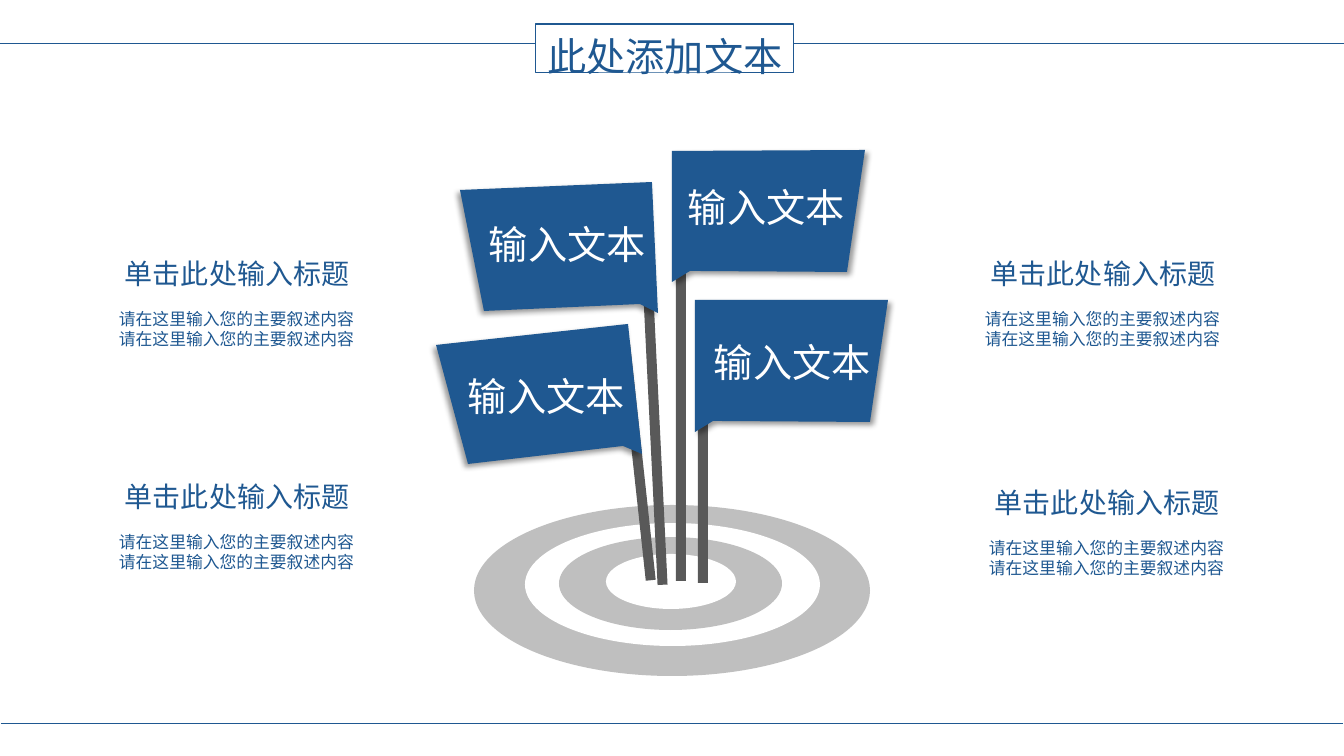
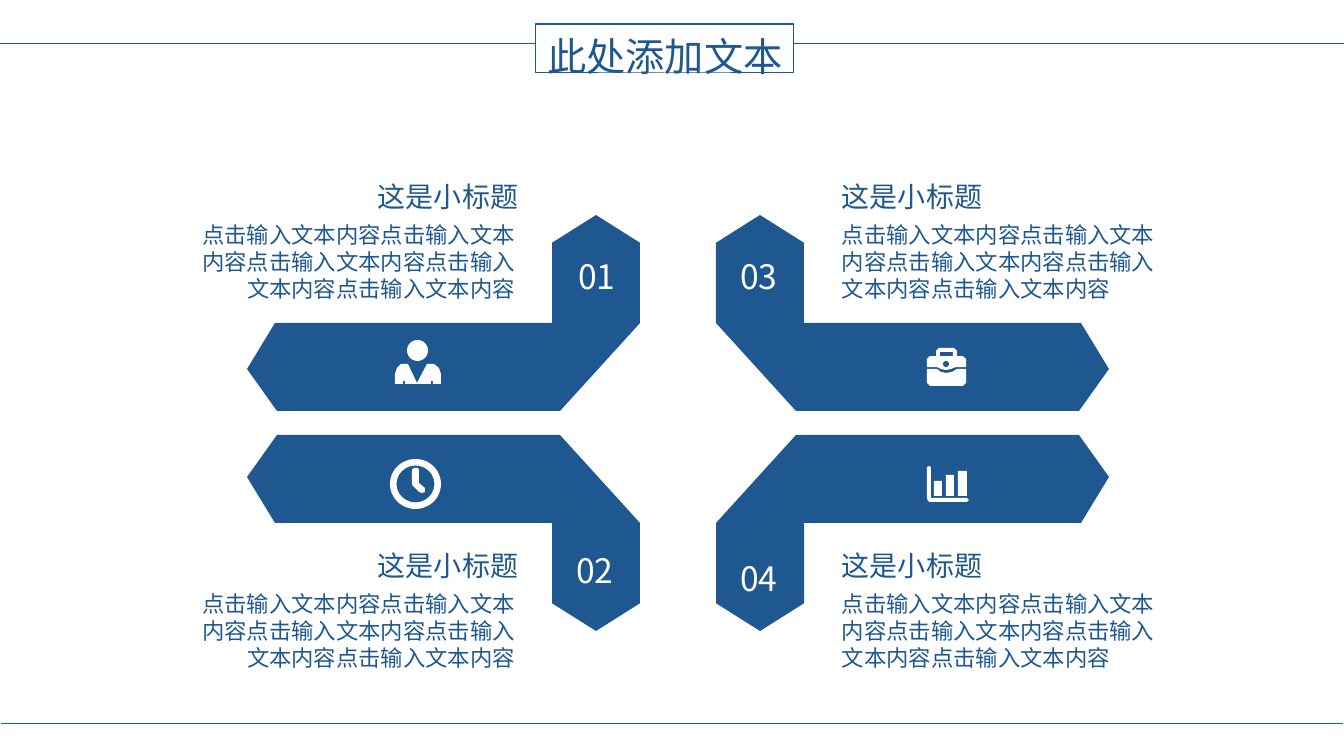
from dataclasses import dataclass
from typing import NamedTuple

from lxml.etree import SubElement
from pptx import Presentation
from pptx.dml.color import RGBColor
from pptx.enum.shapes import MSO_CONNECTOR, MSO_SHAPE
from pptx.enum.text import MSO_ANCHOR, MSO_AUTO_SIZE, PP_ALIGN
from pptx.oxml.ns import qn
from pptx.util import Emu, Pt

SCALE = 12192000 / 1344


@dataclass(frozen=True)
class Theme:
    font: str = "Noto Sans CJK SC"
    blue: RGBColor = RGBColor(0x1F, 0x58, 0x91)
    white: RGBColor = RGBColor(0xFF, 0xFF, 0xFF)
    ring: RGBColor = RGBColor(0xBF, 0xBF, 0xBF)
    pole: RGBColor = RGBColor(0x59, 0x59, 0x59)
    title: int = 28
    number: int = 24
    head: int = 20
    body: int = 16
    note: int = 12
    leading: float = 1.2


class Row(NamedTuple):
    text: str
    size: int
    gap: int = 0
    dent: int = 0


theme = Theme()


def draw(shapes, kind, spots, tint):
    if kind is None:
        maker = shapes.build_freeform(*spots[0], scale=SCALE)
        maker.add_line_segments(spots[1:], close=True)
        shape = maker.convert_to_shape()
    else:
        shape = shapes.add_shape(kind, *[Emu(round(n * SCALE)) for n in spots])
    shape.shadow.inherit = False
    shape.fill.solid()
    shape.fill.fore_color.rgb = tint
    shape.line.fill.background()
    return shape


def write(target, rows, tint, align=PP_ALIGN.LEFT, wrap=True):
    if isinstance(target, tuple):
        shapes, box = target
        target = shapes.add_textbox(*[Emu(round(n * SCALE)) for n in box])
    frame = target.text_frame
    frame.word_wrap = wrap
    for k, row in enumerate(rows):
        para = frame.add_paragraph() if k else frame.paragraphs[0]
        form = {
            "alignment": align,
            "line_spacing": Pt(row.size * theme.leading),
            "space_before": Pt(row.gap),
            "space_after": Pt(0),
        }
        for name, value in form.items():
            setattr(para, name, value)
        if row.dent:
            para._p.get_or_add_pPr().set("marL", str(round(row.dent * SCALE)))
        run = para.add_run()
        run.text = row.text
        run.font.color.rgb = tint
        for name, value in {"size": Pt(row.size), "name": theme.font, "bold": False}.items():
            setattr(run.font, name, value)
        SubElement(run._r.get_or_add_rPr(), qn("a:ea"), typeface=theme.font)
    return frame


deck = Presentation()
deck.slide_width, deck.slide_height = [Emu(round(n * SCALE)) for n in (1344, 756)]
pages = [deck.slides.add_slide(deck.slide_layouts[5]) for _ in range(2)]

for page in pages:
    title = page.shapes.title
    for name, n in {"left": 536, "top": 24, "width": 258, "height": 49}.items():
        setattr(title, name, Emu(round(n * SCALE)))
    title.line.color.rgb = theme.blue
    title.line.width = Pt(0.75)
    frame = write(title, [Row("此处添加文本", theme.title)], theme.blue, PP_ALIGN.CENTER)
    form = {
        "margin_left": 0,
        "margin_right": 0,
        "margin_top": Emu(round(14 * SCALE)),
        "margin_bottom": 0,
        "vertical_anchor": MSO_ANCHOR.MIDDLE,
        "auto_size": MSO_AUTO_SIZE.NONE,
    }
    for name, value in form.items():
        setattr(frame, name, value)
    for ends in ((0, 43, 536, 43), (794, 43, 1344, 43), (1, 723, 1343, 723)):
        rule = page.shapes.add_connector(
            MSO_CONNECTOR.STRAIGHT, *[Emu(round(n * SCALE)) for n in ends]
        )
        rule.line.color.rgb = theme.blue
        rule.line.width = Pt(0.5)
        SubElement(rule._element.spPr, qn("a:effectLst"))

goal, steps = [page.shapes for page in pages]

rings = [
    ((474, 505, 396, 171), theme.ring),
    ((525, 523, 295, 123), theme.white),
    ((559, 537, 223, 93), theme.ring),
    ((606, 554, 130, 55), theme.white),
]
group = goal.add_group_shape()
for box, tint in rings:
    draw(group.shapes, MSO_SHAPE.OVAL, box, tint)

flags = [
    ((676, 256, 10, 325), 0, 45, (678, 174),
     [(865, 150), (672, 151), (672, 282), (690, 271), (847, 272)]),
    ((650, 273, 10, 312), 357.2, 135, (479, 211),
     [(460, 190), (652, 182), (658, 313), (640, 304), (484, 311)]),
    ((633, 344, 10, 237), 353.8, 135, (458, 363),
     [(436, 345), (628, 324), (642, 454), (623, 446), (468, 464)]),
    ((698, 302, 10, 281), 0, 45, (704, 329),
     [(888, 300), (695, 300), (695, 432), (713, 421), (870, 422)]),
]
for pole, turn, angle, spot, edge in flags:
    draw(goal, MSO_SHAPE.RECTANGLE, pole, theme.pole).rotation = turn
    flag = draw(goal, None, edge, theme.blue)
    glow = SubElement(
        flag._element.spPr.find(qn("a:effectLst")), qn("a:outerShdw"),
        blurRad=str(Pt(4)), dist=str(Pt(3)), dir=str(angle * 60000),
        algn="ctr", rotWithShape="0",
    )
    black = SubElement(glow, qn("a:srgbClr"), val="000000")
    SubElement(black, qn("a:alpha"), val="40000")
    write((goal, (*spot, 178, 57)), [Row("输入文本", theme.title)],
          theme.white, wrap=False).margin_top = Emu(round(9 * SCALE))

note = "请在这里输入您的主要叙述内容"
for spot in ((109, 252), (109, 475), (975, 252), (979, 481)):
    rows = [
        Row("单击此处输入标题", theme.head, dent=6),
        Row(note, theme.note, gap=13),
        Row(note, theme.note),
    ]
    write((goal, (*spot, 258, 106)), rows, theme.blue, wrap=False)

band = [(640, 323), (275, 323), (247, 369), (277, 411), (560, 411)]
for right in (False, True):
    for low in (False, True):
        edge = [(1356 - x if right else x, 846 - y if low else y) for x, y in band]
        draw(steps, None, edge, theme.blue)
        box = (706 if right else 542, 533 if low else 225, 108, 88)
        tip = draw(steps, MSO_SHAPE.PENTAGON, box, theme.blue)
        tip.adjustments[0] = 0.315
        tip.rotation = 90 if low else 270

        top = 544 if low else 175
        side = PP_ALIGN.LEFT if right else PP_ALIGN.RIGHT
        write((steps, (832 if right else 368, top, 168, 44)),
              [Row("这是小标题", theme.head)], theme.blue)
        write((steps, (832 if right else 189, top + 41, 336, 92)),
              [Row("点击输入文本内容" * 5, theme.body)], theme.blue, side)

for k, spot in enumerate([(548, 251), (546, 545), (710, 251), (710, 553)], 1):
    write((steps, (*spot, 98, 50)), [Row(f"{k:02}", theme.number)],
          theme.white, PP_ALIGN.CENTER)

person = [
    (MSO_SHAPE.OVAL, (407, 340, 21, 21), theme.white),
    (None, [(395, 384), (395, 374), (397, 368), (401, 364), (408, 364), (417, 383),
            (427, 364), (434, 364), (439, 368), (441, 374), (441, 384), (433, 384),
            (433, 381), (431, 381), (431, 384), (405, 384), (405, 381), (403, 381),
            (403, 384)], theme.white),
]
clock = [
    (MSO_SHAPE.DONUT, (390, 459, 51, 50), theme.white),
    (None, [(412, 470), (414, 468), (418, 468), (419, 470), (419, 483), (425, 488),
            (425, 492), (422, 493), (419, 492), (413, 486), (412, 484)], theme.white),
]
case = [
    (None, [(927, 369), (937, 369), (941, 372), (946, 373), (952, 372), (957, 369),
            (966, 369), (966, 383), (963, 386), (930, 386), (927, 383)], theme.white),
    (None, [(927, 367), (927, 359), (930, 356), (963, 356), (966, 359), (966, 367),
            (956, 367), (951, 369), (946, 370), (941, 369), (937, 367)], theme.white),
    (None, [(936, 356), (936, 351), (939, 348), (954, 348), (957, 351), (957, 356),
            (953, 356), (953, 352), (940, 352), (940, 356)], theme.white),
    (MSO_SHAPE.OVAL, (943, 361, 6, 6), theme.blue),
]
bars = [
    (MSO_SHAPE.RECTANGLE, (934, 481, 8, 15), theme.white),
    (MSO_SHAPE.RECTANGLE, (946, 475, 8, 21), theme.white),
    (MSO_SHAPE.RECTANGLE, (958, 471, 9, 25), theme.white),
    (None, [(927, 467), (929, 466), (931, 467), (931, 498), (967, 498), (969, 500),
            (967, 502), (930, 502), (928, 501), (927, 498)], theme.white),
]
for icon in (person, clock, case, bars):
    group = steps.add_group_shape()
    for part in icon:
        shape = draw(group.shapes, *part)
        if part[0] == MSO_SHAPE.DONUT:
            shape.adjustments[0] = 0.13

deck.save("out.pptx")
